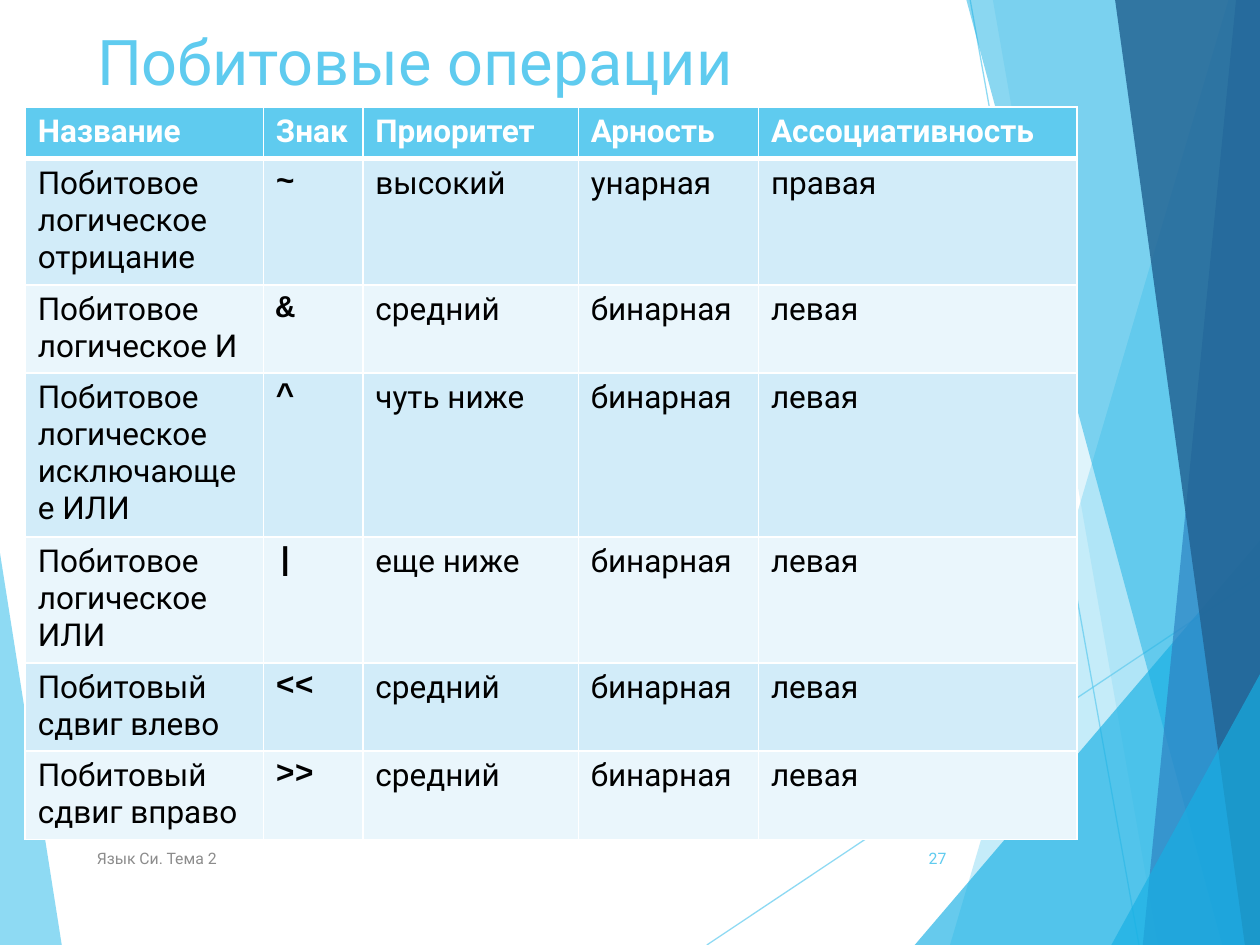
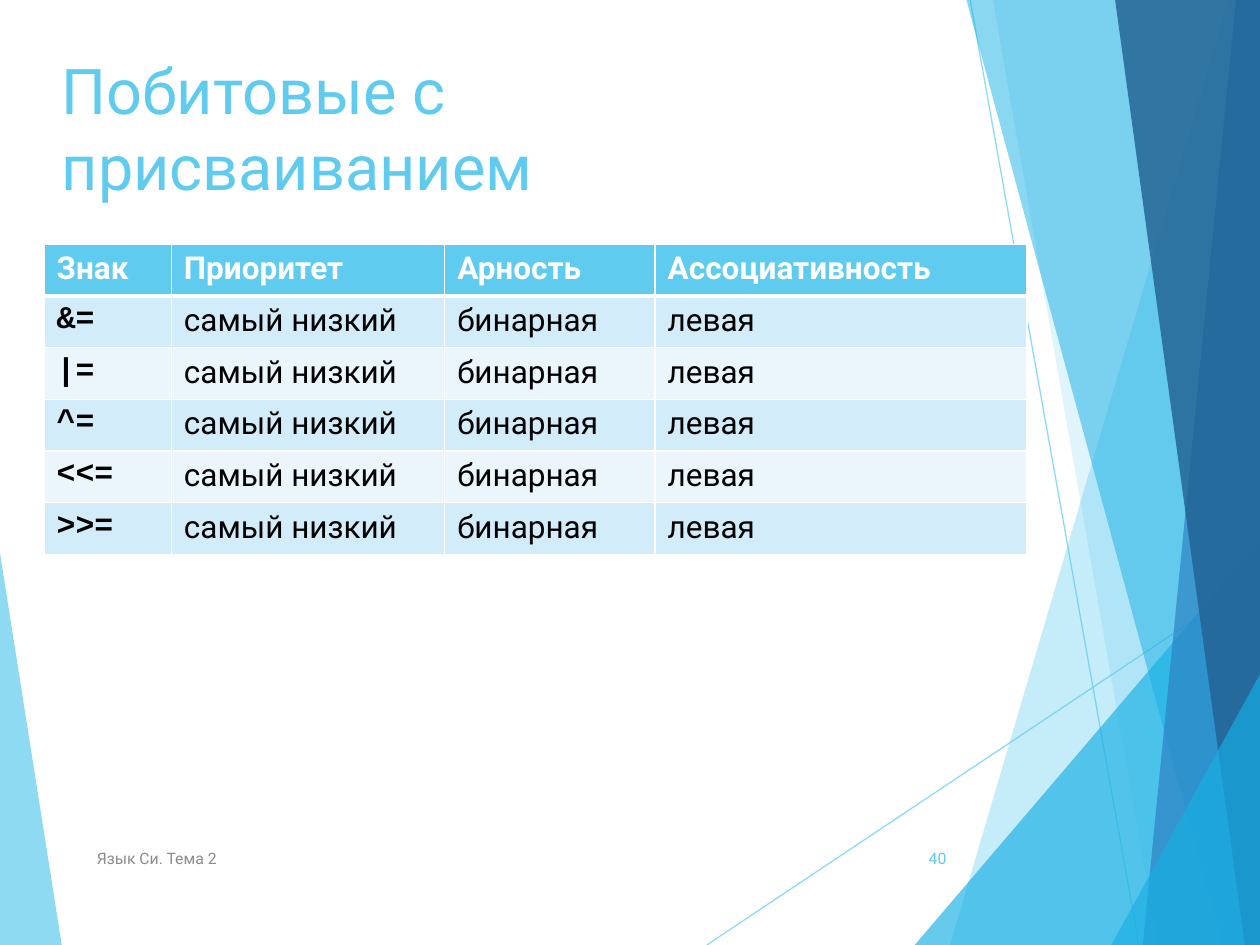
import lxml.etree
import pptx
import pptx.dml.color
import pptx.enum.shapes
import pptx.enum.text
import pptx.oxml.ns
import pptx.util

Inches = pptx.util.Inches
Pt = pptx.util.Pt
qn = pptx.oxml.ns.qn
ALIGN = pptx.enum.text.PP_ALIGN
ANCHOR = pptx.enum.text.MSO_ANCHOR

# Shared colours and fonts
SKY, AZURE, BLUE, NAVY = "5FCBEF", "17B0E4", "2E83C3", "226292"
WHITE, BLACK, GREY = "FFFFFF", "000000", "8C8C8C"
BANDS = ("D2ECF9", "EAF6FC")
BODY_FONT, CODE_FONT = "Roboto", "Courier New"

# Backdrop: thin lines (start, end), then facets (colour, opacity %, outline)
LEFT_FACET = (SKY, 70, [(0, 4.39), (0.49, 7.5), (0, 7.5)])
RAYS = [((5.61, 7.5), (10, 4.57)), ((7.7, 0), (9.04, 7.5))]
RIGHT_FACETS = [
    (SKY, 36, [(9.75, 0), (7.54, 7.5), (10, 7.5), (10, 0)]),
    (SKY, 20, [(7.88, 0), (9.19, 7.5), (10, 7.5), (10, 0)]),
    (AZURE, 66, [(7.26, 7.5), (10, 4.29), (10, 7.5)]),
    (AZURE, 50, [(7.67, 0), (9.7, 7.5), (10, 7.5), (10, 0)]),
    (BLUE, 70, [(9.81, 0), (9.07, 7.5), (10, 7.5), (10, 0)]),
    (NAVY, 82, [(8.85, 0), (9.88, 7.5), (10, 7.5), (10, 0)]),
    (AZURE, 66, [(8.82, 7.5), (10, 5.35), (10, 7.5)]),
]

# Table contents
TRAITS = ["Приоритет", "Арность", "Ассоциативность"]
BITWISE = [
    ["Название", "Знак", *TRAITS],
    ["Побитовое логическое отрицание", "~", "высокий", "унарная", "правая"],
    ["Побитовое логическое И", "&", "средний", "бинарная", "левая"],
    ["Побитовое логическое исключающее ИЛИ", "^", "чуть ниже", "бинарная", "левая"],
    ["Побитовое логическое ИЛИ", "|", "еще ниже", "бинарная", "левая"],
    ["Побитовый сдвиг влево", "<<", "средний", "бинарная", "левая"],
    ["Побитовый сдвиг вправо", ">>", "средний", "бинарная", "левая"],
]
ASSIGNMENT = [["Знак", *TRAITS]] + [
    [sign, "самый низкий", "бинарная", "левая"]
    for sign in ("&=", "|=", "^=", "<<=", ">>=")
]


def rgb(value):
    return pptx.dml.color.RGBColor.from_string(value)


def set_opacity(sp, percent):
    for clr in sp._element.iter(qn("a:srgbClr")):
        lxml.etree.SubElement(clr, qn("a:alpha"), val=str(percent * 1000))


def write(tf, text, size, color, font=BODY_FONT, bold=False, align=ALIGN.LEFT):
    tf.text = text
    p = tf.paragraphs[0]
    p.alignment = align
    f = p.runs[0].font
    f.size, f.name, f.bold = Pt(size), font, bold
    f.color.rgb = rgb(color)


def add_facet(slide, color, opacity, points):
    points = [(Inches(x), Inches(y)) for x, y in points]
    builder = slide.shapes.build_freeform(*points[0], scale=1)
    builder.add_line_segments(points[1:], close=True)
    sp = builder.convert_to_shape()
    sp.shadow.inherit = False
    sp.fill.solid()
    sp.fill.fore_color.rgb = rgb(color)
    sp.line.fill.background()
    set_opacity(sp, opacity)


def add_ray(slide, start, end):
    ends = [Inches(v) for v in (*start, *end)]
    line = slide.shapes.add_connector(
        pptx.enum.shapes.MSO_CONNECTOR.STRAIGHT, *ends)
    line.line.color.rgb = rgb(SKY)
    line.line.width = Pt(0.75)
    set_opacity(line, 70)
    lxml.etree.SubElement(line._element.spPr, qn("a:effectLst"))


def add_backdrop(slide):
    add_facet(slide, *LEFT_FACET)
    for start, end in RAYS:
        add_ray(slide, start, end)
    for facet in RIGHT_FACETS:
        add_facet(slide, *facet)


def set_title(slide, text, left, top):
    sp = slide.shapes.title
    sp.left, sp.top = Inches(left), Inches(top)
    sp.width, sp.height = Inches(6.94), Inches(1.44)
    tf = sp.text_frame
    write(tf, text, 36, SKY)
    tf.word_wrap = True
    tf.auto_size = pptx.enum.text.MSO_AUTO_SIZE.NONE
    tf.vertical_anchor = ANCHOR.TOP


def add_footer_text(slide, text, left, width, color, align):
    sp = slide.shapes.add_textbox(
        Inches(left), Inches(6.61), Inches(width), Inches(0.4))
    tf = sp.text_frame
    tf.word_wrap = True
    tf.vertical_anchor = ANCHOR.MIDDLE
    write(tf, text, 9, color, align=align)


def set_borders(cell, row):
    """White 1 pt grid with a 3 pt rule below the header."""
    tc_pr = cell._tc.get_or_add_tcPr()
    widths = {"L": 1, "R": 1, "T": 3 if row == 1 else 1, "B": 3 if row == 0 else 1}
    for side, width in widths.items():
        ln = lxml.etree.SubElement(tc_pr, qn("a:ln" + side), w=str(Pt(width)))
        fill = lxml.etree.SubElement(ln, qn("a:solidFill"))
        lxml.etree.SubElement(fill, qn("a:srgbClr"), val=WHITE)


def add_operator_table(slide, rows, left, top, widths):
    row_height = Inches(0.41)
    frame = slide.shapes.add_table(
        len(rows), len(widths), Inches(left), Inches(top),
        Inches(sum(widths)), row_height * len(rows))
    table = frame.table
    table.horz_banding = False
    for column, width in zip(table.columns, widths):
        column.width = Inches(width)
    sign_col = rows[0].index("Знак")
    for i, values in enumerate(rows):
        table.rows[i].height = row_height
        header = i == 0
        for j, value in enumerate(values):
            cell = table.cell(i, j)
            code = j == sign_col and not header
            write(cell.text_frame, value, 18, WHITE if header else BLACK,
                  CODE_FONT if code else BODY_FONT, header or code)
            set_borders(cell, i)
            cell.fill.solid()
            cell.fill.fore_color.rgb = rgb(SKY if header else BANDS[(i - 1) % 2])


def add_operator_slide(prs, title, title_at, number, rows, table_at, widths):
    slide = prs.slides.add_slide(prs.slide_layouts[5])
    add_backdrop(slide)
    set_title(slide, title, *title_at)
    add_footer_text(slide, "Язык Си. Тема 2", 0.67, 5.06, GREY, ALIGN.LEFT)
    add_footer_text(slide, str(number), 7.05, 0.56, SKY, ALIGN.RIGHT)
    add_operator_table(slide, rows, *table_at, widths)


def main():
    prs = pptx.Presentation()
    prs.slide_width, prs.slide_height = Inches(10), Inches(7.5)
    add_operator_slide(prs, "Побитовые операции", (0.67, 0.13), 27,
                       BITWISE, (0.2, 0.85), [1.89, 0.79, 1.71, 1.43, 2.53])
    add_operator_slide(prs, "Побитовые с присваиванием", (0.39, 0.36), 40,
                       ASSIGNMENT, (0.35, 1.94), [1.01, 2.17, 1.67, 2.95])
    prs.save("out.pptx")


if __name__ == "__main__":
    main()
